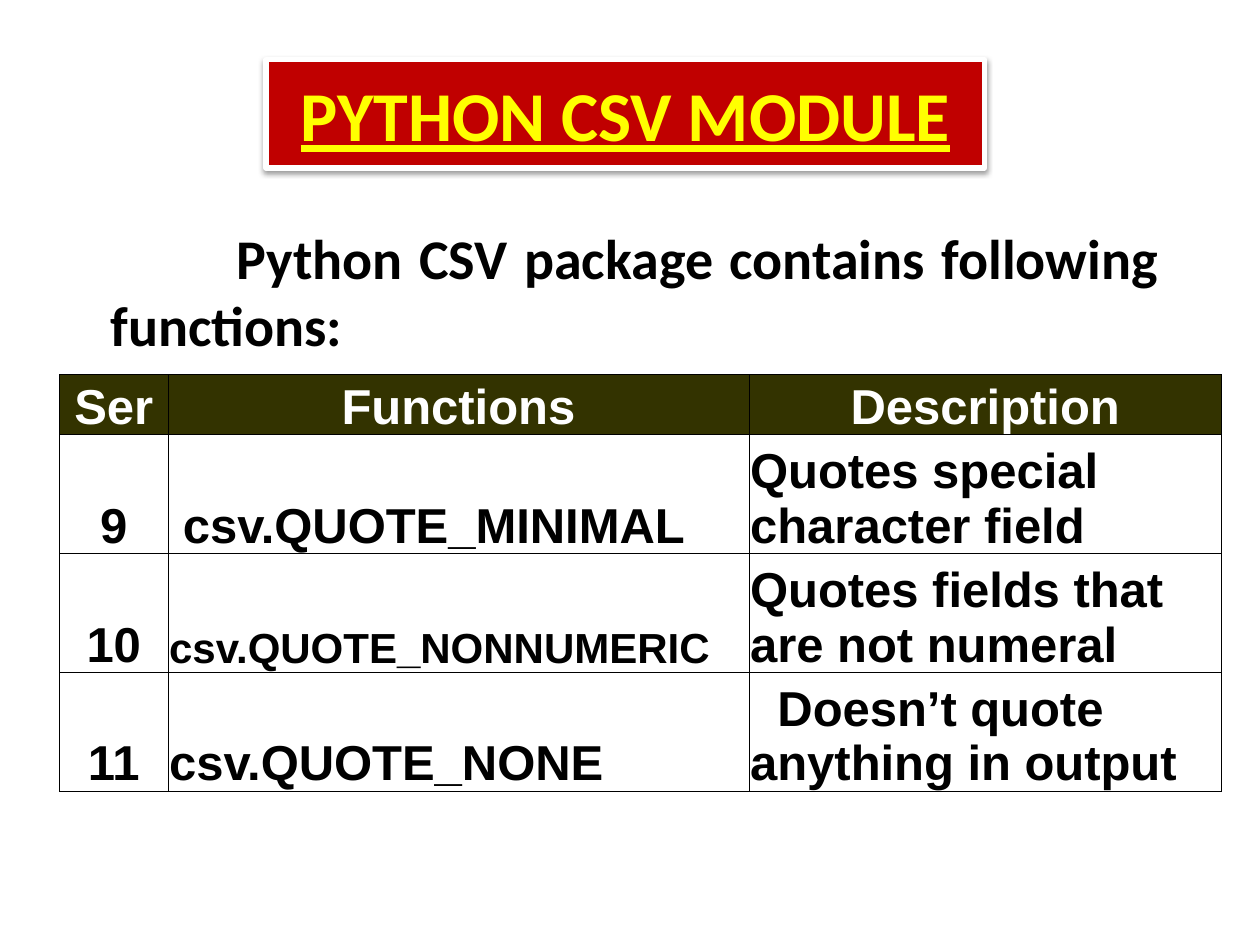
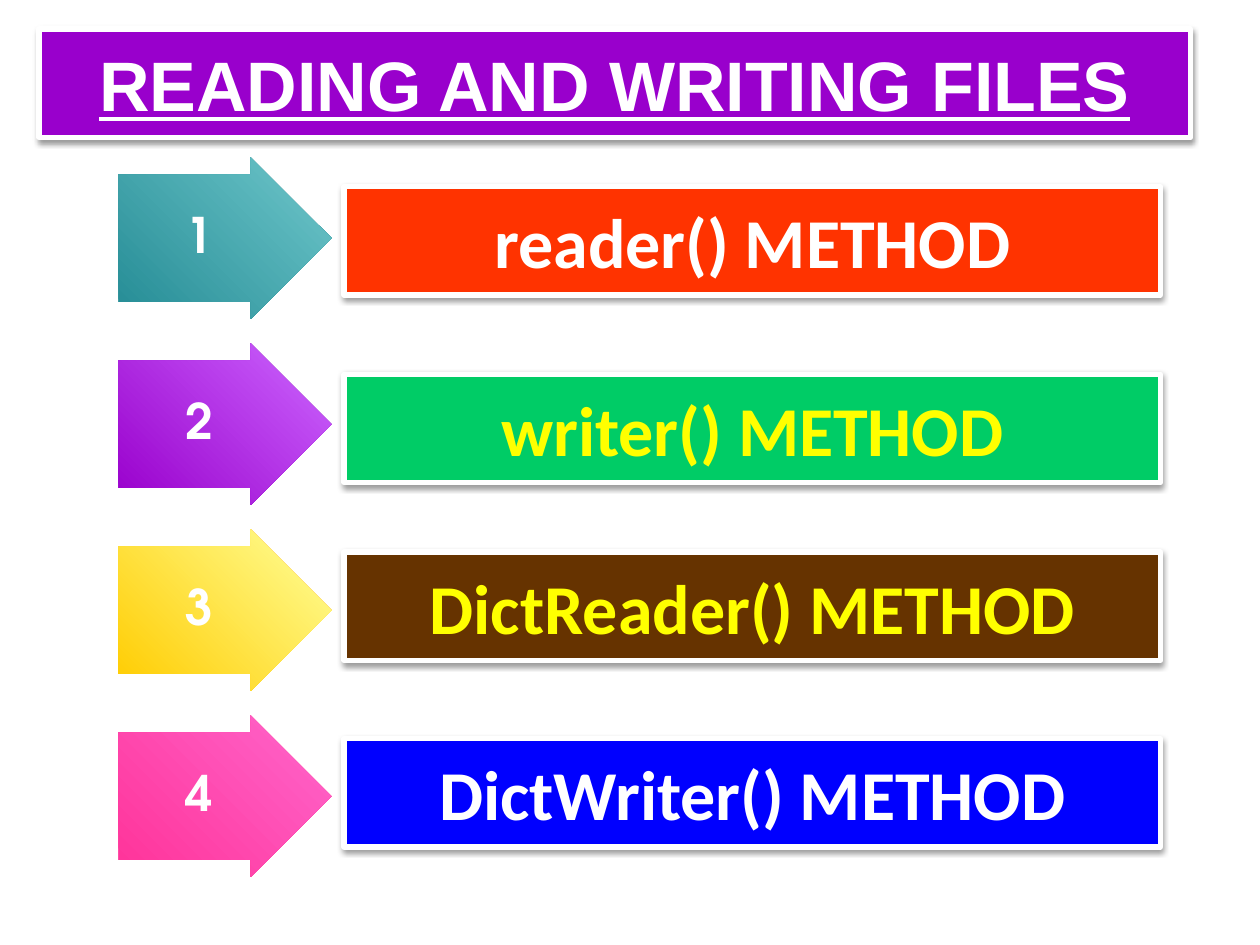
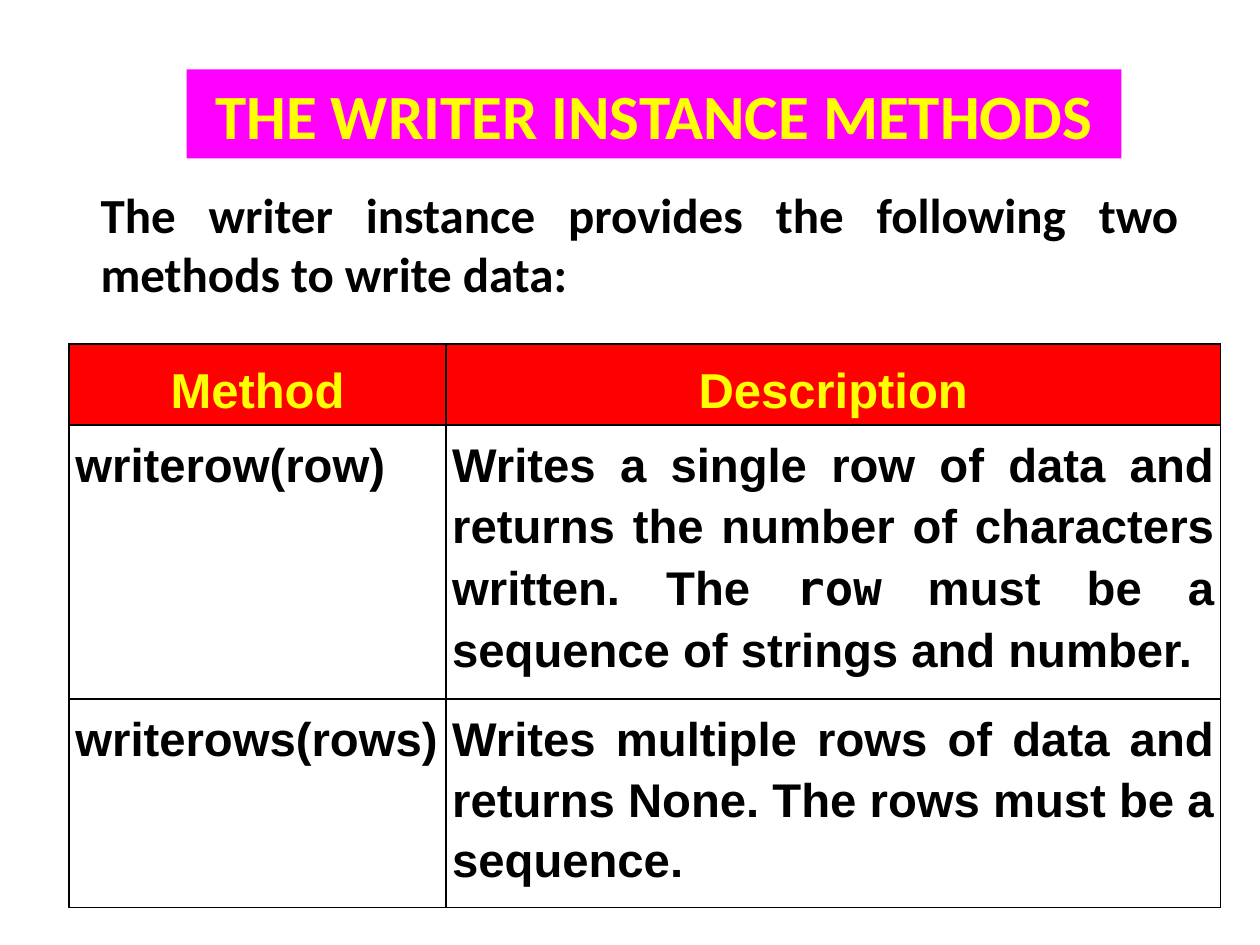
from lxml.etree import SubElement
from pptx import Presentation
from pptx.dml.color import RGBColor
from pptx.enum.shapes import MSO_SHAPE as SHAPE
from pptx.enum.text import MSO_ANCHOR as ANCHOR, MSO_AUTO_SIZE as AUTO, PP_ALIGN as ALIGN
from pptx.oxml.ns import qn
from pptx.util import Pt

BLACK = RGBColor(0x00, 0x00, 0x00)
WHITE = RGBColor(0xFF, 0xFF, 0xFF)
YELLOW = RGBColor(0xFF, 0xFF, 0x00)
DARK_RED = RGBColor(0xC0, 0x00, 0x00)
RED = RGBColor(0xFF, 0x00, 0x00)
OLIVE = RGBColor(0x33, 0x33, 0x00)
PURPLE = RGBColor(0x99, 0x00, 0xCC)
LILAC = RGBColor(0xCC, 0x66, 0xFF)
MAGENTA = RGBColor(0xFF, 0x00, 0xFF)
TEAL = RGBColor(0x25, 0x8C, 0x95)
AQUA = RGBColor(0x6F, 0xC7, 0xCB)
GOLD = RGBColor(0xFF, 0xCC, 0x00)
CREAM = RGBColor(0xFF, 0xFF, 0x99)
PINK = RGBColor(0xFF, 0x33, 0x99)
ROSE = RGBColor(0xFF, 0x66, 0xCC)
ORANGE = RGBColor(0xFF, 0x33, 0x00)
GREEN = RGBColor(0x00, 0xCC, 0x66)
BROWN = RGBColor(0x66, 0x33, 0x00)
BLUE = RGBColor(0x00, 0x00, 0xFF)

SANS, HEAD, MONO, DIGIT = "Arial", "Calibri", "DejaVu Sans Mono", "TeX Gyre Adventor"


def points(*lengths):
    return [Pt(n) for n in lengths]


def write(tf, text, font=HEAD, size=28, color=BLACK, underline=False,
          align=ALIGN.LEFT, indent=0, spacing=None, after=None):
    """Fill a text frame with one bold paragraph; text is a string or (text, font) pairs."""
    tf.word_wrap = True
    p = tf.paragraphs[0]
    p.alignment = align
    if indent:
        p._p.get_or_add_pPr().set("indent", str(Pt(indent)))
    if spacing:
        p.line_spacing = spacing
    if after:
        p.space_after = Pt(after)
    for part, name in [(text, font)] if isinstance(text, str) else text:
        r = p.add_run()
        r.text = part
        r.font.name, r.font.size, r.font.bold = name, Pt(size), True
        r.font.underline = underline
        r.font.color.rgb = color


def add_shadow(sp):
    effects = sp._element.spPr.find(qn("a:effectLst"))
    shadow = SubElement(effects, qn("a:outerShdw"), blurRad=str(Pt(3.1)),
                        dist=str(Pt(1.6)), dir="5400000", rotWithShape="0")
    color = SubElement(shadow, qn("a:srgbClr"), val=str(BLACK))
    SubElement(color, qn("a:alpha"), val="38000")


def add_borders(cell, width):
    tcPr = cell._tc.get_or_add_tcPr()
    for side in ("lnL", "lnR", "lnT", "lnB"):
        ln = SubElement(tcPr, qn(f"a:{side}"), w=str(Pt(width)))
        fill = SubElement(ln, qn("a:solidFill"))
        SubElement(fill, qn("a:srgbClr"), val=str(BLACK))


class Deck:
    def __init__(self):
        self.prs = Presentation()
        self.prs.slide_width, self.prs.slide_height = points(720, 540)
        self.s = None

    def slide(self, title, box, fill, framed=True, **fmt):
        self.s = self.prs.slides.add_slide(self.prs.slide_layouts[5])
        sp = self.s.shapes.title
        sp.left, sp.top, sp.width, sp.height = points(*box)
        self.dress(sp, title, fill, framed, **fmt)

    def dress(self, sp, text, fill, framed, **fmt):
        """Give a box its fill, its text and, if framed, a white line and a shadow."""
        sp.fill.solid()
        sp.fill.fore_color.rgb = fill
        sp.shadow.inherit = False
        if framed:
            sp.line.color.rgb = WHITE
            sp.line.width = Pt(3)
            add_shadow(sp)
        else:
            sp.line.fill.background()
        tf = sp.text_frame
        tf.auto_size = AUTO.NONE
        tf.vertical_anchor = ANCHOR.MIDDLE
        write(tf, text, **{"align": ALIGN.CENTER, "size": 40, **fmt})

    def bar(self, text, box, fill, framed=True, **fmt):
        sp = self.s.shapes.add_shape(SHAPE.RECTANGLE, *points(*box))
        self.dress(sp, text, fill, framed, **fmt)

    def text(self, text, box, shapes=None, **fmt):
        sp = (shapes or self.s.shapes).add_textbox(*points(*box))
        write(sp.text_frame, text, **fmt)

    def numbered_arrow(self, number, left, top, dark, light):
        shapes = self.s.shapes.add_group_shape().shapes
        sp = shapes.add_shape(SHAPE.RIGHT_ARROW, *points(left, top, 121.7, 92.2))
        sp.adjustments[0], sp.adjustments[1] = 0.79, 0.5
        sp.fill.gradient()
        sp.fill.gradient_angle = 45
        for stop, color in zip(sp.fill.gradient_stops, (dark, light)):
            stop.color.rgb = color
        sp.line.fill.background()
        sp.shadow.inherit = False
        self.text(str(number), (left + 31, top + 23.3, 36, 41), shapes,
                  font=DIGIT, color=WHITE)

    def table(self, rows, corner, widths, heights, head_fill, head, columns,
              border, insets, body_anchor, special=None, **common):
        """Draw a table: head formats row 0, columns the body, special single cells."""
        frame = self.s.shapes.add_table(
            len(rows), len(widths), *points(*corner, sum(widths), sum(heights)))
        table = frame.table
        table.horz_banding = table.first_row = False
        for col, width in zip(table.columns, widths):
            col.width = Pt(width)
        for row, height in zip(table.rows, heights):
            row.height = Pt(height)
        for i, row in enumerate(rows):
            for j, text in enumerate(row):
                cell = table.cell(i, j)
                (cell.margin_left, cell.margin_top,
                 cell.margin_right, cell.margin_bottom) = points(*insets)
                cell.vertical_anchor = body_anchor if i else ANCHOR.BOTTOM
                add_borders(cell, border)
                if i:
                    cell.fill.background()
                else:
                    cell.fill.solid()
                    cell.fill.fore_color.rgb = head_fill
                fmt = columns[j] if i else {"align": ALIGN.CENTER, **head}
                extra = (special or {}).get((i, j), {})
                write(cell.text_frame, text, **{"font": SANS, **common, **fmt, **extra})


def functions_slide(deck):
    deck.slide("PYTHON CSV MODULE", (152, 34, 410.5, 62), DARK_RED,
               color=YELLOW, underline=True)
    deck.text("Python CSV package contains following functions:",
              (56, 124, 613.5, 85), size=32, align=ALIGN.JUSTIFY, indent=72)
    rows = [
        ("Ser", "Functions", "Description"),
        ("9", "csv.QUOTE_MINIMAL", "Quotes special character field"),
        ("10", "csv.QUOTE_NONNUMERIC", "Quotes fields that are not numeral"),
        ("11", "csv.QUOTE_NONE", "Doesn’t quote anything in output"),
    ]
    deck.table(rows, (34, 214), (62, 332, 270), (34.2, 67.8, 67.8, 67.8),
               OLIVE, {"color": WHITE}, ({"align": ALIGN.CENTER}, {}, {}),
               border=0.5, insets=(0.7, 0.7, 0.7, 0), body_anchor=ANCHOR.BOTTOM,
               special={(1, 1): {"indent": 7.8}, (2, 1): {"size": 24},
                        (3, 2): {"indent": 15.6}})


def methods_slide(deck):
    deck.slide("READING AND WRITING FILES", (22.3, 16.6, 658, 62), PURPLE,
               font=SANS, color=WHITE, underline=True)
    methods = [
        ("reader() METHOD", 106.6, ORANGE, WHITE, TEAL, AQUA),
        ("writer() METHOD", 213.8, GREEN, YELLOW, PURPLE, LILAC),
        ("DictReader() METHOD", 315.4, BROWN, YELLOW, GOLD, CREAM),
        ("DictWriter() METHOD", 422, BLUE, WHITE, PINK, ROSE),
    ]
    for i, (name, top, fill, color, dark, light) in enumerate(methods):
        deck.numbered_arrow(i + 1, 67.7, 90 + 106.3 * i, dark, light)
        deck.bar(name, (196.6, top, 466.6, 62), fill, color=color)


def writer_slide(deck):
    deck.slide("THE WRITER INSTANCE METHODS", (106.6, 39.6, 534.2, 51), MAGENTA,
               framed=False, size=36, color=YELLOW)
    deck.bar("The writer instance provides the following two methods to write data:",
             (50.4, 101.5, 630, 75), WHITE, framed=False, size=28, align=ALIGN.JUSTIFY)
    rows = [
        ("Method", "Description"),
        ("writerow(row)",
         [("Writes a single row of data and returns the number of characters "
           "written. The ", SANS),
          ("row", MONO),
          (" must be a sequence of strings and number.", SANS)]),
        ("writerows(rows)",
         "Writes multiple rows of data and returns None. The rows must be a sequence."),
    ]
    deck.table(rows, (39.5, 196.7), (215.3, 442.7), (46.3, 156.5, 119),
               RED, {"color": YELLOW, "size": 28}, ({}, {"align": ALIGN.JUSTIFY}),
               border=1, insets=(3.6,) * 4, body_anchor=ANCHOR.TOP,
               size=27, spacing=1.15, after=18)


def main():
    deck = Deck()
    functions_slide(deck)
    methods_slide(deck)
    writer_slide(deck)
    deck.prs.save("out.pptx")


if __name__ == "__main__":
    main()
